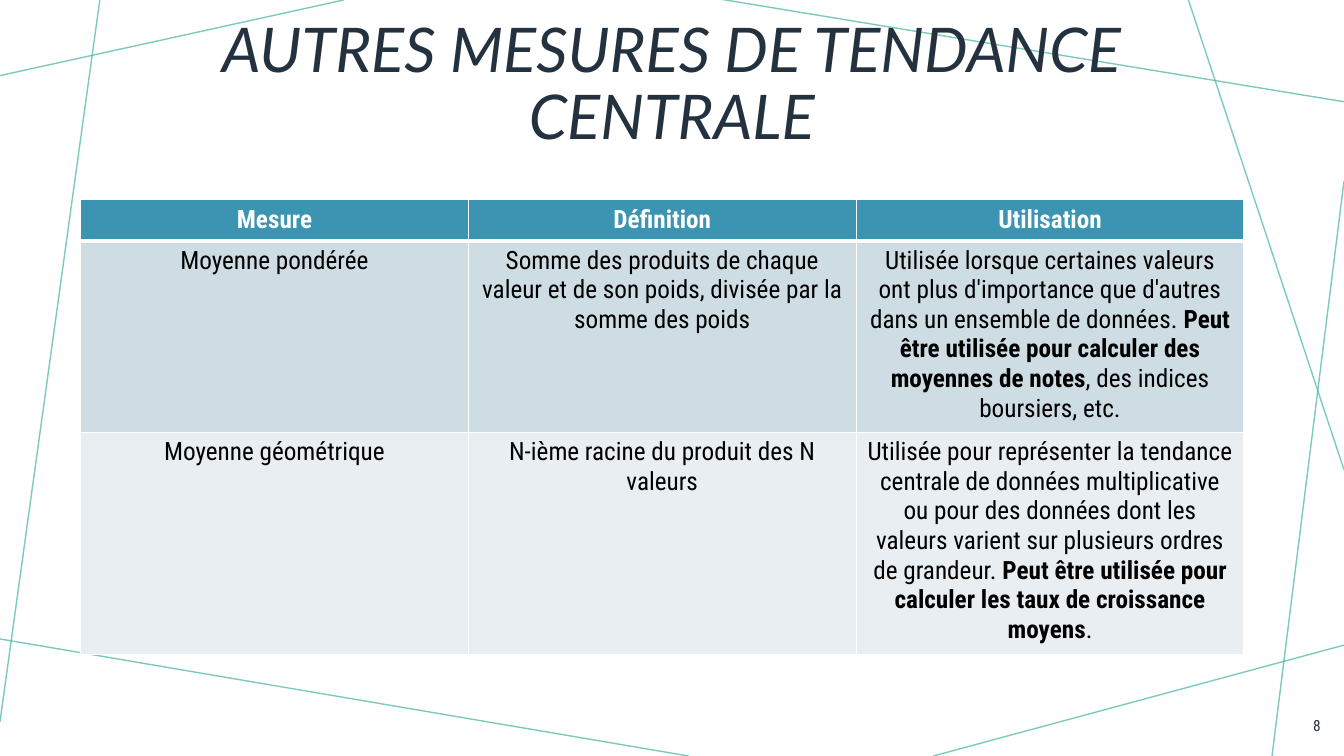
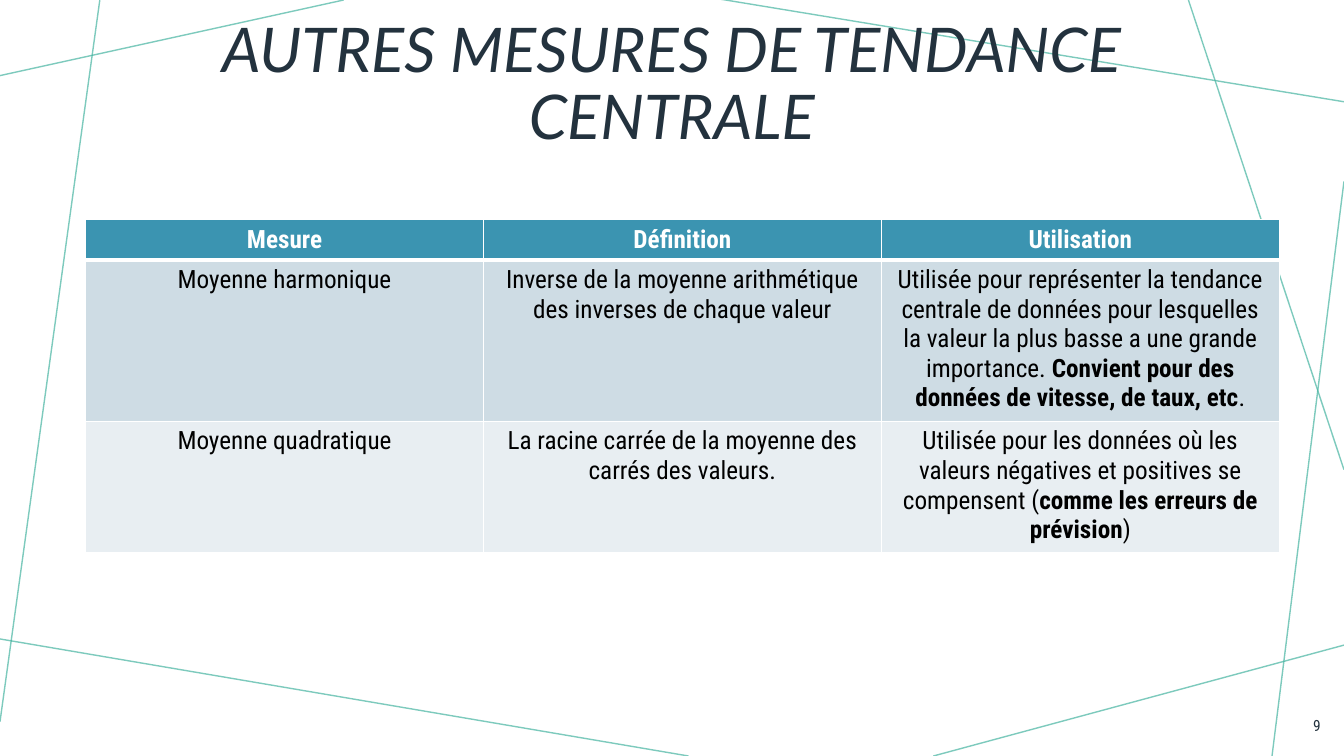
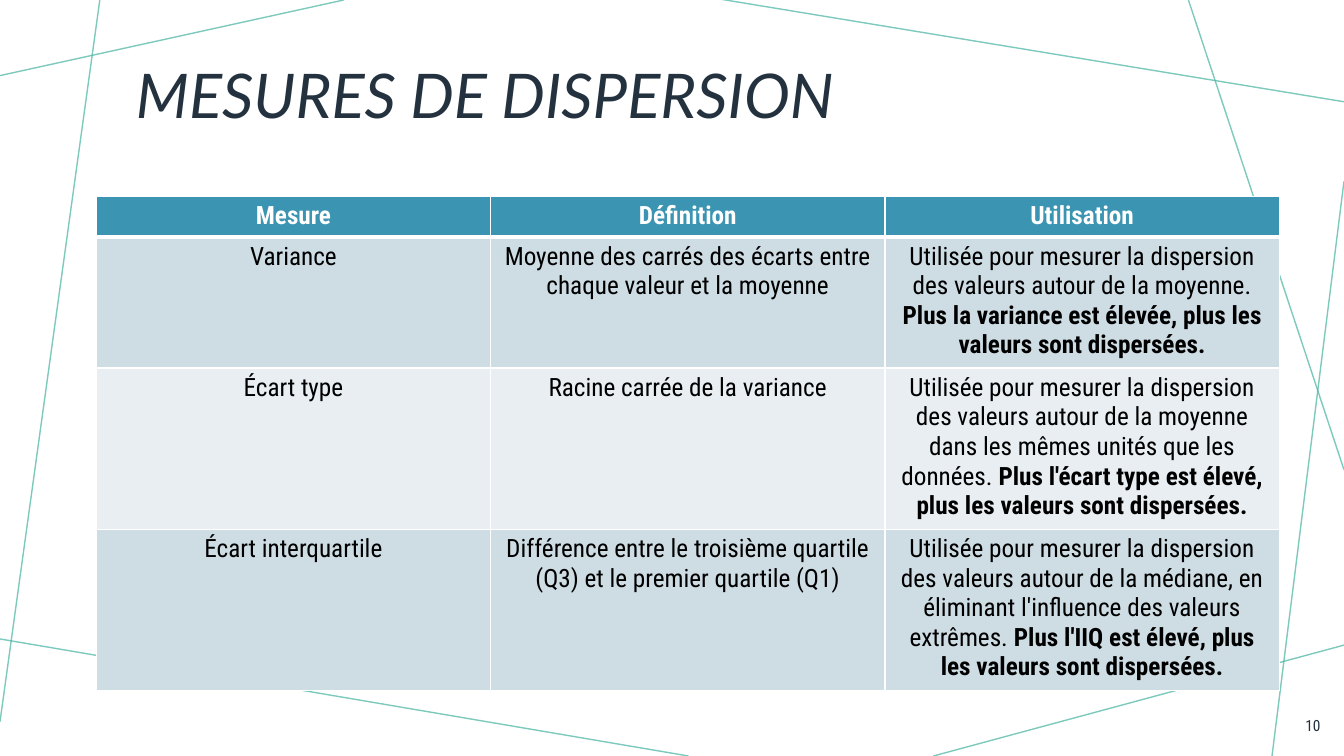
from lxml import etree
from pptx import Presentation
from pptx.dml.color import RGBColor
from pptx.enum.shapes import MSO_CONNECTOR
from pptx.enum.text import MSO_ANCHOR, PP_ALIGN
from pptx.oxml.ns import qn
from pptx.util import Pt

STRAIGHT = MSO_CONNECTOR.STRAIGHT
MIDDLE = MSO_ANCHOR.MIDDLE
LEFT, CENTER, RIGHT = PP_ALIGN.LEFT, PP_ALIGN.CENTER, PP_ALIGN.RIGHT

COLORS = {
    "ink": "23323E", "line": "46B4A1", "header": "3B94B1", "odd row": "CEDCE4",
    "even row": "E8EEF2", "white": "FFFFFF", "black": "000000",
}
TITLE_FONT, BODY_FONT = "Lato", "Roboto Condensed"
SLIDE_WIDTH, SLIDE_HEIGHT = 960, 540
LINE_OPACITY = 70

# Ends of the decorative lines: x1, y1, x2, y2
LINES = [
    (245.5, 0, 0, 54),
    (71.3, 0, 0, 515.5),
    (491.8, 540, -3.6, 455.8),
    (960, 460.8, 666.7, 540),
    (960, 129.6, 908.6, 540),
    (960, 335.5, 848.9, 0),
    (960, 72.7, 514.1, -0.7),
]

HEADINGS = ("Mesure", "Définition", "Utilisation")

# Text between double asterisks is bold; "lines" counts the text lines of each row
SLIDES = [
    {
        "number": 8, "title": "AUTRES MESURES DE TENDANCE CENTRALE",
        "title_top": 7.2, "title_align": CENTER,
        "table": (57.6, 142.6, 831), "header_height": 29.5, "lines": (6, 7),
        "rows": [
            ("Moyenne pondérée",
             "Somme des produits de chaque valeur et de son poids, divisée par la somme des poids",
             "Utilisée lorsque certaines valeurs ont plus d'importance que d'autres dans un "
             "ensemble de données. **Peut être utilisée pour calculer des moyennes de notes**"
             ", des indices boursiers, etc."),
            ("Moyenne géométrique",
             "N-ième racine du produit des N valeurs",
             "Utilisée pour représenter la tendance centrale de données multiplicative ou pour "
             "des données dont les valeurs varient sur plusieurs ordres de grandeur. "
             "**Peut être utilisée pour calculer les taux de croissance moyens**."),
        ],
    },
    {
        "number": 9, "title": "AUTRES MESURES DE TENDANCE CENTRALE",
        "title_top": 7.2, "title_align": CENTER,
        "table": (61.2, 157, 852.6), "header_height": 28.4, "lines": (5, 4),
        "rows": [
            ("Moyenne harmonique",
             "Inverse de la moyenne arithmétique des inverses de chaque valeur",
             "Utilisée pour représenter la tendance centrale de données pour lesquelles la "
             "valeur la plus basse a une grande importance. "
             "**Convient pour des données de vitesse, de taux, etc**."),
            ("Moyenne quadratique",
             "La racine carrée de la moyenne des carrés des valeurs.",
             "Utilisée pour les données où les valeurs négatives et positives se compensent "
             "(**comme les erreurs de prévision**)"),
        ],
    },
    {
        "number": 10, "title": "MESURES DE DISPERSION",
        "title_top": 15.8, "title_align": LEFT,
        "table": (68.8, 140.4, 845), "header_height": 28.4, "lines": (4, 5, 5),
        "rows": [
            ("Variance",
             "Moyenne des carrés des écarts entre chaque valeur et la moyenne",
             "Utilisée pour mesurer la dispersion des valeurs autour de la moyenne. "
             "**Plus la variance est élevée, plus les valeurs sont dispersées.**"),
            ("Écart type",
             "Racine carrée de la variance",
             "Utilisée pour mesurer la dispersion des valeurs autour de la moyenne dans les "
             "mêmes unités que les données. "
             "**Plus l'écart type est élevé, plus les valeurs sont dispersées.**"),
            ("Écart interquartile",
             "Différence entre le troisième quartile (Q3) et le premier quartile (Q1)",
             "Utilisée pour mesurer la dispersion des valeurs autour de la médiane, en "
             "éliminant l'influence des valeurs extrêmes. "
             "**Plus l'IIQ est élevé, plus les valeurs sont dispersées.**"),
        ],
    },
]
LINE_HEIGHT, CELL_PADDING = 21.1, 7.2


def rgb(name):
    """Return the named colour."""
    return RGBColor.from_string(COLORS[name])


def write_text(frame, text, *, size, color, font=BODY_FONT, align=CENTER,
               bold=False, italic=False, spacing=None):
    """Write one paragraph, with bold between double asterisks."""
    paragraph = frame.paragraphs[0]
    paragraph.alignment = align
    if spacing:
        paragraph.line_spacing = spacing
    for index, part in enumerate(text.split("**")):
        if part:
            run = paragraph.add_run()
            run.text = part
            run.font.name = font
            run.font.size = Pt(size)
            run.font.bold = bold or index % 2 == 1
            run.font.italic = italic
            run.font.color.rgb = rgb(color)


def add_text(slide, box, text, **text_format):
    """Add a wrapped, vertically centred text box."""
    frame = slide.shapes.add_textbox(*map(Pt, box)).text_frame
    frame.word_wrap = True
    frame.vertical_anchor = MIDDLE
    write_text(frame, text, **text_format)


def add_lines(slide):
    """Draw the translucent decorative lines."""
    for ends in LINES:
        connector = slide.shapes.add_connector(STRAIGHT, *map(Pt, ends))
        connector.line.width = Pt(1)
        connector.line.color.rgb = rgb("line")
        properties = connector._element.spPr
        color = properties.find(".//" + qn("a:srgbClr"))
        etree.SubElement(color, qn("a:alpha"), val=str(LINE_OPACITY * 1000))
        etree.SubElement(properties, qn("a:effectLst"))


def set_borders(cell, **widths):
    """Give the cell white borders of the given widths."""
    properties = cell._tc.get_or_add_tcPr()
    for side in "LRTB":
        border = etree.SubElement(properties, qn("a:ln" + side),
                                  w=str(Pt(widths.get(side, 1))))
        fill = etree.SubElement(border, qn("a:solidFill"))
        etree.SubElement(fill, qn("a:srgbClr"), val=COLORS["white"])


def add_measure_table(slide, content):
    """Add the table of measures with its header and banded rows."""
    left, top, width = content["table"]
    heights = [content["header_height"]]
    heights += [count * LINE_HEIGHT + CELL_PADDING for count in content["lines"]]
    rows = [HEADINGS, *content["rows"]]
    table = slide.shapes.add_table(len(rows), len(HEADINGS), Pt(left), Pt(top),
                                   Pt(width), Pt(sum(heights))).table
    for row_index, row in enumerate(rows):
        table.rows[row_index].height = Pt(heights[row_index])
        header = row_index == 0
        band = "header" if header else "odd row" if row_index % 2 else "even row"
        for column_index, text in enumerate(row):
            cell = table.cell(row_index, column_index)
            set_borders(cell, B=3 if header else 1, T=3 if row_index == 1 else 1)
            cell.fill.solid()
            cell.fill.fore_color.rgb = rgb(band)
            write_text(cell.text_frame, text, size=18, bold=header,
                       color="white" if header else "black")


def build_slide(presentation, content):
    """Build one slide from its content."""
    slide = presentation.slides.add_slide(presentation.slide_layouts[6])
    add_lines(slide)
    add_text(slide, (90, content["title_top"], 780, 108.7), content["title"],
             size=44, color="ink", font=TITLE_FONT, italic=True,
             align=content["title_align"], spacing=0.9)
    add_measure_table(slide, content)
    add_text(slide, (913.7, 504, 36.7, 28.8), str(content["number"]),
             size=11, color="ink", align=RIGHT)


def main():
    """Build and save the presentation."""
    presentation = Presentation()
    presentation.slide_width = Pt(SLIDE_WIDTH)
    presentation.slide_height = Pt(SLIDE_HEIGHT)
    for content in SLIDES:
        build_slide(presentation, content)
    presentation.save("out.pptx")


main()
